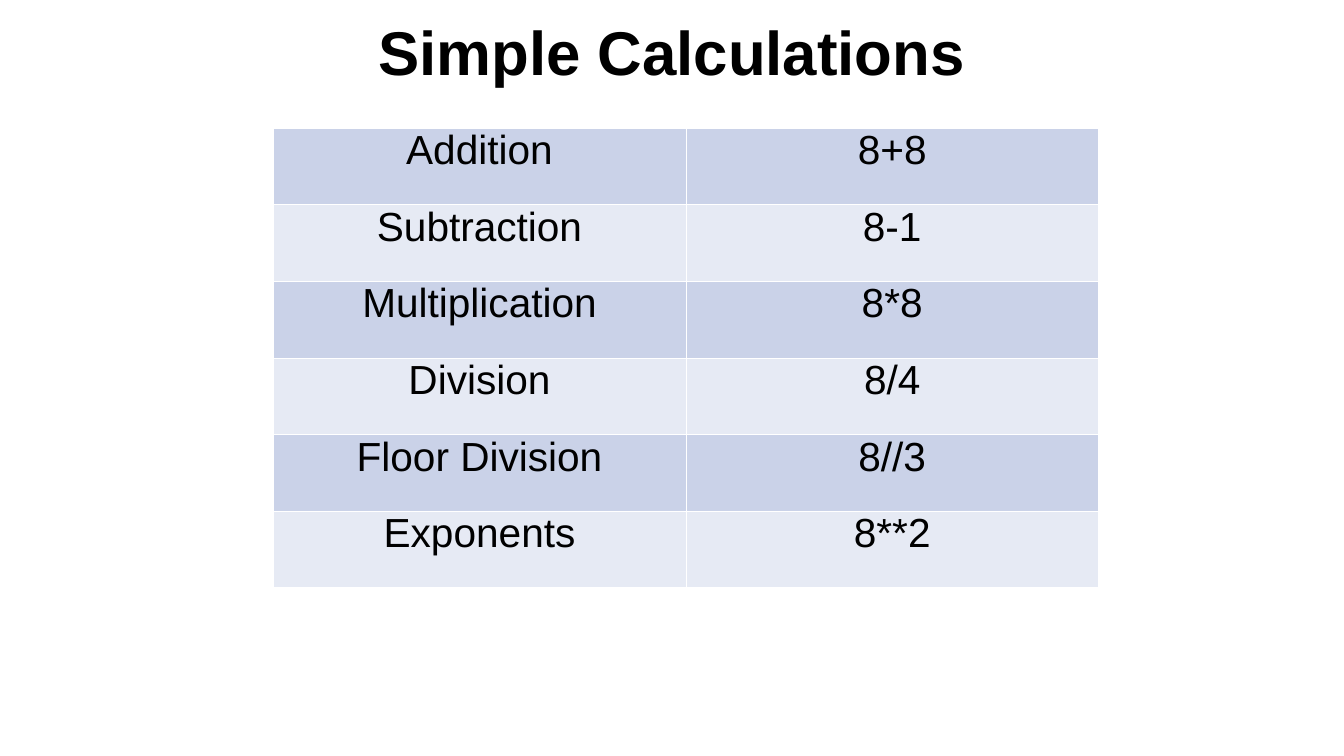
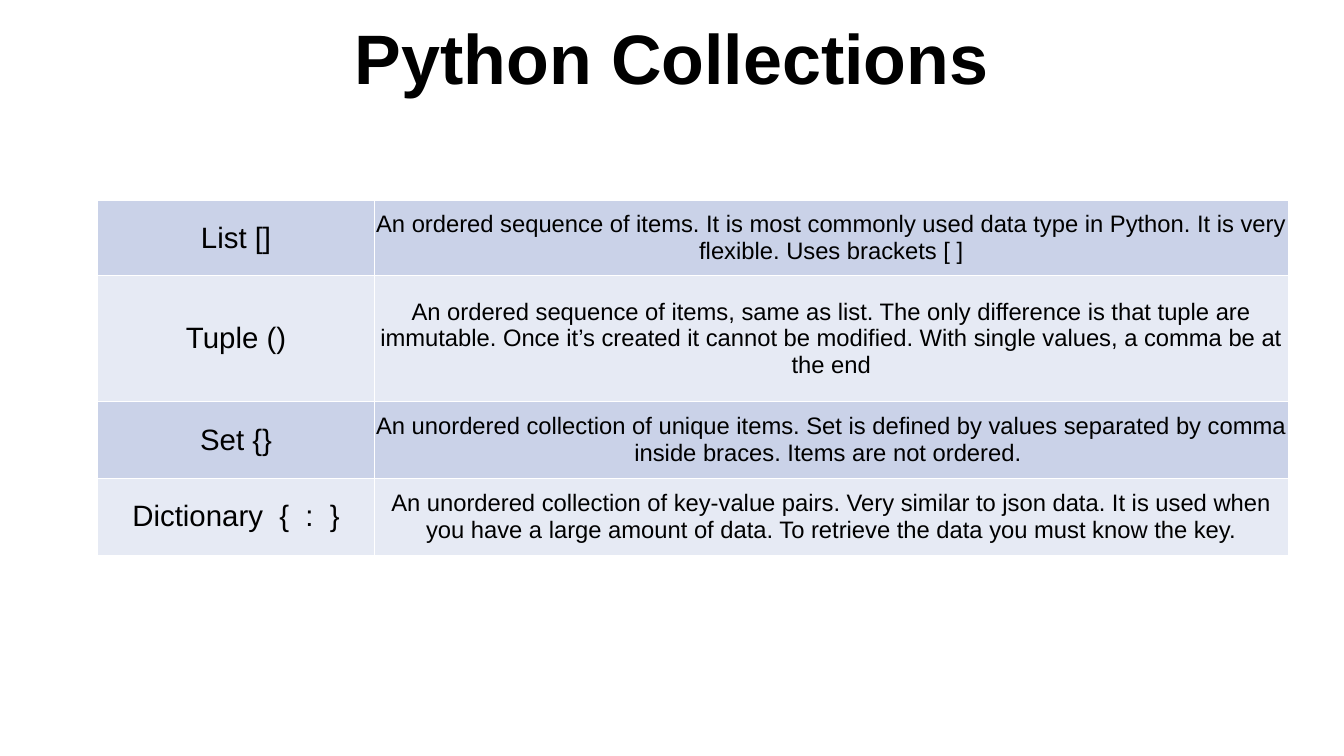
"""Build two slides, each a centred title over a banded two-column table."""
from lxml.etree import SubElement
from pptx import Presentation
from pptx.dml.color import RGBColor as Color
from pptx.enum.text import MSO_ANCHOR as Anchor, MSO_AUTO_SIZE as AutoSize, PP_ALIGN as Align
from pptx.oxml.ns import qn
from pptx.util import Pt

PX = 9144
FONT = "Arial"
COLORS = {"text": "000000", "border": "FFFFFF", "band": "CAD2E8", "light": "E6EAF4"}
BANDS = ("band", "light")
TITLE_INSET = 10
BORDER_WIDTH = Pt(1)

SLIDES = [
    {
        "title": "Simple Calculations",
        "title_box": (194, 11, 2278, 180),
        "title_size": 88.2,
        "corner": (542, 254),
        "columns": (819, 819),
        "heights": (152,) * 6,
        "sizes": (58, 58),
        "anchor": Anchor.TOP,
        "rows": [
            ("Addition", "8+8"),
            ("Subtraction", "8-1"),
            ("Multiplication", "8*8"),
            ("Division", "8/4"),
            ("Floor Division", "8//3"),
            ("Exponents", "8**2"),
        ],
    },
    {
        "title": "Python Collections",
        "title_box": (194, 4, 2278, 216),
        "title_size": 100,
        "corner": (194, 397),
        "columns": (549, 1813),
        "heights": (150, 250, 152, 152),
        "sizes": (42, 34),
        "anchor": Anchor.MIDDLE,
        "rows": [
            ("List []", "An ordered sequence of items. It is most commonly used data type in Python. "
             "It is very flexible. Uses brackets [ ]"),
            ("Tuple ()", "An ordered sequence of items, same as list. The only difference is that "
             "tuple are immutable. Once it’s created it cannot be modified. With single values, "
             "a comma be at the end"),
            ("Set {}", "An unordered collection of unique items. Set is defined by values separated "
             "by comma inside braces. Items are not ordered. "),
            ("Dictionary  {  :  }", "An unordered collection of key-value pairs. Very similar to json "
             "data. It is used when you have a large amount of data. To retrieve the data you must "
             "know the key."),
        ],
    },
]


def px(*lengths):
    return [length * PX for length in lengths]


def set_insets(holder, inset):
    holder.margin_left = holder.margin_right = inset * PX
    holder.margin_top = holder.margin_bottom = inset * PX


def write(frame, text, size, bold=False):
    para = frame.paragraphs[0]
    para.alignment = Align.CENTER
    span = para.add_run()
    span.text = text
    span.font.name = FONT
    span.font.size = Pt(size)
    span.font.bold = bold
    span.font.color.rgb = Color.from_string(COLORS["text"])


def add_borders(cell):
    properties = cell._tc.get_or_add_tcPr()
    for position, side in enumerate(("lnL", "lnR", "lnT", "lnB")):
        line = SubElement(properties, qn(f"a:{side}"), w=str(BORDER_WIDTH))
        fill = SubElement(line, qn("a:solidFill"))
        SubElement(fill, qn("a:srgbClr"), val=COLORS["border"])
        properties.insert(position, line)


def add_title(page, content):
    title = page.shapes.title
    title.left, title.top, title.width, title.height = px(*content["title_box"])
    frame = title.text_frame
    frame.word_wrap = True
    frame.auto_size = AutoSize.NONE
    frame.vertical_anchor = Anchor.MIDDLE
    set_insets(frame, TITLE_INSET)
    write(frame, content["title"], content["title_size"], bold=True)


def add_grid(page, content):
    rows, columns, heights = content["rows"], content["columns"], content["heights"]
    place = px(*content["corner"], sum(columns), sum(heights))
    table = page.shapes.add_table(len(rows), len(columns), *place).table
    table.first_row = False
    for column, width in zip(table.columns, columns):
        column.width = width * PX
    for index, (row, height, texts) in enumerate(zip(table.rows, heights, rows)):
        row.height = height * PX
        shade = COLORS[BANDS[index % len(BANDS)]]
        for cell, text, size in zip(row.cells, texts, content["sizes"]):
            set_insets(cell, 0)
            cell.vertical_anchor = content["anchor"]
            cell.fill.solid()
            cell.fill.fore_color.rgb = Color.from_string(shade)
            add_borders(cell)
            write(cell.text_frame, text, size)


def main():
    deck = Presentation()
    deck.slide_width, deck.slide_height = px(2667, 1500)
    title_only = deck.slide_layouts.get_by_name("Title Only")
    for content in SLIDES:
        page = deck.slides.add_slide(title_only)
        add_title(page, content)
        add_grid(page, content)
    deck.save("out.pptx")


if __name__ == "__main__":
    main()
